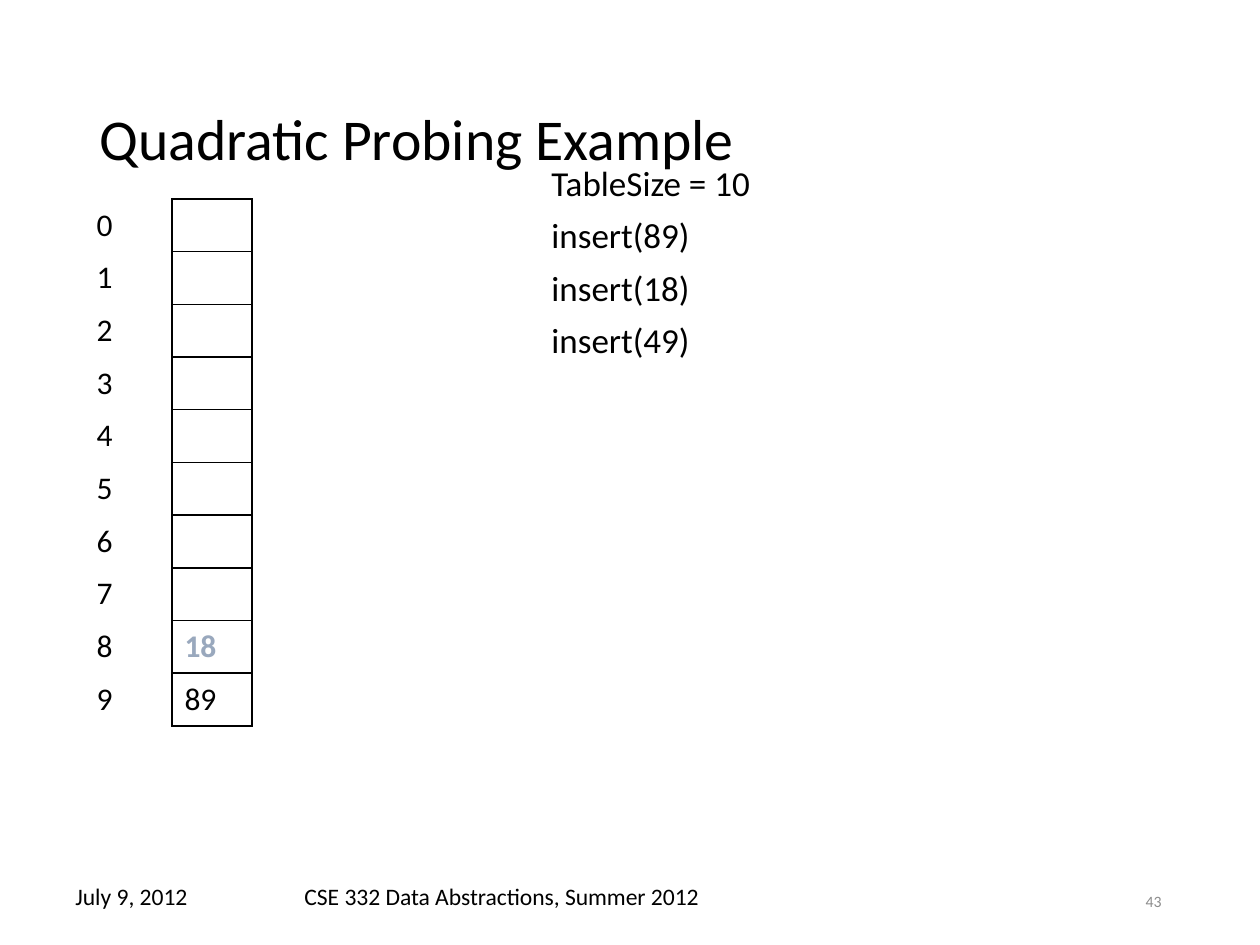
from lxml import etree
from pptx import Presentation, util as u
from pptx.dml.color import RGBColor
from pptx.enum import text
from pptx.oxml.ns import qn

COLORS = {"ink": "000000", "muted": "8C8C8C", "inserted": "99A8BD"}


class ProbingSlide:
    """Hold the style and the current slide of the probing example."""

    font = "Calibri"
    scale = u.Inches(1) / 126

    def __init__(self, deck):
        self.slide = deck.slides.add_slide(deck.slide_layouts[6])

    def emu(self, *lengths):
        return [u.Emu(round(length * self.scale)) for length in lengths]

    def add_words(self, paragraph, words, size, color="ink", bold=False):
        run = paragraph.add_run()
        run.text = words
        style = {"name": self.font, "size": u.Pt(size), "bold": bold}
        for key, value in style.items():
            setattr(run.font, key, value)
        run.font.color.rgb = RGBColor.from_string(COLORS[color])

    def text_box(self, box, lines, size, color="ink", anchor="TOP", paragraph_format=None, gap=0):
        frame = self.slide.shapes.add_textbox(*self.emu(*box)).text_frame
        frame.word_wrap = True
        frame.vertical_anchor = text.MSO_ANCHOR[anchor]
        for index, line in enumerate(lines):
            paragraph = frame.add_paragraph() if index else frame.paragraphs[0]
            for key, value in (paragraph_format or {}).items():
                setattr(paragraph, key, value)
            if index and gap:
                paragraph.space_before = u.Pt(gap)
            self.add_words(paragraph, line, size, color)

    def border(self, cell, sides):
        properties = cell._tc.get_or_add_tcPr()
        for position, side in enumerate(sides):
            line = etree.Element(qn(f"a:ln{side}"), w=str(u.Pt(1)))
            fill = etree.SubElement(line, qn("a:solidFill"))
            etree.SubElement(fill, qn("a:srgbClr"), val=COLORS["ink"])
            properties.insert(position, line)

    def hash_table(self, box, widths, buckets, size, entries):
        table = self.slide.shapes.add_table(buckets, len(widths), *self.emu(*box)).table
        table.first_row = table.horz_banding = False
        for column, width in zip(table.columns, self.emu(*widths)):
            column.width = width
        for bucket in range(buckets):
            key, slot = table.rows[bucket].cells
            for cell, sides in ((key, "R"), (slot, "LRTB")):
                cell.fill.background()
                cell.vertical_anchor = text.MSO_ANCHOR.MIDDLE
                self.border(cell, sides)
            self.add_words(key.text_frame.paragraphs[0], str(bucket), size)
            if bucket in entries:
                self.add_words(slot.text_frame.paragraphs[0], size=size, **entries[bucket])


def main():
    deck = Presentation()
    deck.slide_width, deck.slide_height = u.Inches(10), u.Inches(7.5)
    page = ProbingSlide(deck)
    page.text_box((87, 50, 1086, 183), ["Quadratic Probing Example"], 33,
                  anchor="MIDDLE", paragraph_format={"line_spacing": 0.9})
    page.text_box((63, 876, 221, 50), ["July 9, 2012"], 13.5)
    page.text_box((292, 876, 674, 50), ["CSE 332 Data Abstractions, Summer 2012"], 13.5)
    page.text_box((890, 876, 284, 50), ["43"], 9, "muted", "MIDDLE",
                  {"alignment": text.PP_ALIGN.RIGHT})
    inserts = [f"insert({key})" for key in (89, 18, 49)]
    page.text_box((539, 155, 607, 214), ["TableSize = 10", *inserts], 20, gap=6)
    page.hash_table((84, 199, 168, 527), (88, 80), 10, 18, {
        8: {"words": "18", "color": "inserted", "bold": True},
        9: {"words": "89"},
    })
    deck.save("out.pptx")


if __name__ == "__main__":
    main()
